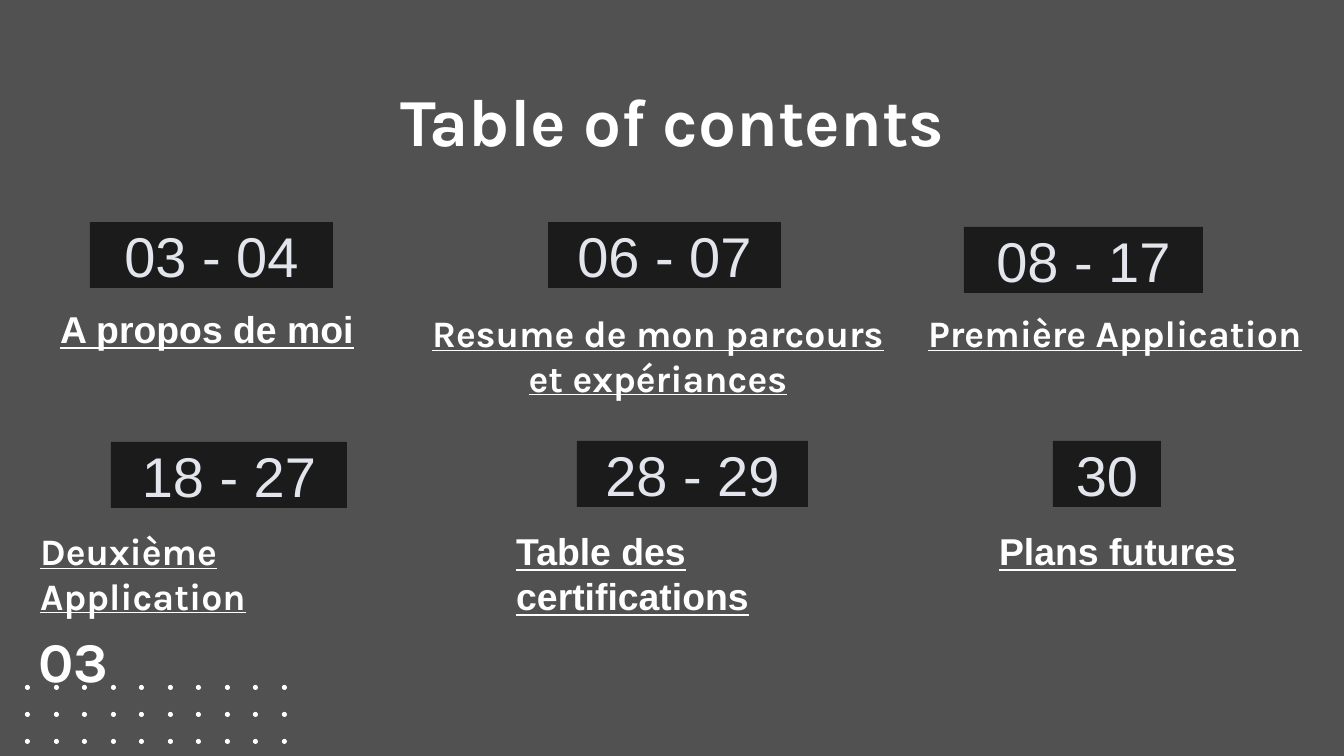
from dataclasses import dataclass

from pptx import Presentation
from pptx import util as u
from pptx.dml.color import RGBColor
from pptx.enum import shapes, text

PX = 914400 / 134.4  # EMU in one px
INSET = u.Inches(0.1)
ROW_HEIGHT = 66
WHITE = "FFFFFF"
LEFT, CENTER = text.PP_ALIGN.LEFT, text.PP_ALIGN.CENTER
TOP, MIDDLE = text.MSO_ANCHOR.TOP, text.MSO_ANCHOR.MIDDLE


@dataclass
class Area:
    left: int
    top: int
    width: int
    height: int = ROW_HEIGHT

    def emu(self) -> list[int]:
        return [round(v * PX) for v in (self.left, self.top, self.width, self.height)]


@dataclass
class Style:
    size: int
    font: str = "Karla"
    color: str = WHITE
    bold: bool = True
    underline: bool = False
    align: text.PP_ALIGN = CENTER
    anchor: text.MSO_ANCHOR = TOP


@dataclass
class Entry:
    pages: str
    badge: Area
    name: str
    label: Area
    font: str
    align: text.PP_ALIGN


def color(value: str) -> RGBColor:
    return RGBColor.from_string(value)


def write(box, words: str, style: Style) -> None:
    frame = box.text_frame
    frame.word_wrap = True
    frame.vertical_anchor = style.anchor
    frame.margin_left = frame.margin_right = INSET
    frame.margin_top = frame.margin_bottom = INSET
    para = frame.paragraphs[0]
    para.alignment = style.align
    span = para.add_run()
    span.text = words
    span.font.name = style.font
    span.font.size = u.Pt(style.size)
    span.font.bold = style.bold
    span.font.underline = style.underline
    span.font.color.rgb = color(style.color)


def add_text(page, area: Area, words: str, style: Style) -> None:
    write(page.shapes.add_textbox(*area.emu()), words, style)


def add_filled(page, kind: shapes.MSO_SHAPE, area: Area, fill: str):
    shape = page.shapes.add_shape(kind, *area.emu())
    shape.shadow.inherit = False
    shape.fill.solid()
    shape.fill.fore_color.rgb = color(fill)
    shape.line.fill.background()
    return shape


def add_entry(page, entry: Entry) -> None:
    badge = add_filled(page, shapes.MSO_SHAPE.RECTANGLE, entry.badge, "1B1B1B")
    write(badge, entry.pages, Style(30, "Arial", "E3E5EC", bold=False, anchor=MIDDLE))
    add_text(page, entry.label, entry.name,
             Style(20, entry.font, underline=True, align=entry.align))


ENTRIES = [
    Entry("03 - 04", Area(90, 222, 243), "A propos de moi",
          Area(47, 293, 339), "Arial", LEFT),
    Entry("06 - 07", Area(548, 222, 233), "Resume de mon parcours et expériances",
          Area(417, 297, 482), "Karla", CENTER),
    Entry("08 - 17", Area(964, 227, 239), "Première Application",
          Area(915, 297, 418), "Karla", LEFT),
    Entry("18 - 27", Area(111, 442, 236), "Deuxième Application",
          Area(27, 515, 418), "Karla", LEFT),
    Entry("28 - 29", Area(577, 441, 231), "Table des certifications",
          Area(503, 515, 426), "Arial", LEFT),
    Entry("30", Area(1053, 441, 108), "Plans futures",
          Area(948, 515, 339), "Arial", CENTER),
]


def main() -> None:
    deck = Presentation()
    deck.slide_width, deck.slide_height = round(1344 * PX), round(756 * PX)
    page = deck.slides.add_slide(deck.slide_layouts[6])
    page.background.fill.solid()
    page.background.fill.fore_color.rgb = color("515151")

    # Dot grid: 10 columns spread over 257 px, 3 rows
    for row in range(3):
        for column in range(10):
            dot = Area(25 + round(257 * column / 9), 685 + 27 * row, 5, 5)
            add_filled(page, shapes.MSO_SHAPE.OVAL, dot, WHITE)

    # Title
    add_text(page, Area(106, 66, 1133, 85), "Table of contents", Style(36))

    # Page ranges with their section names
    for entry in ENTRIES:
        add_entry(page, entry)

    # Page number
    add_text(page, Area(9, 621, 129, 78), "03", Style(30, anchor=MIDDLE))

    deck.save("out.pptx")


if __name__ == "__main__":
    main()
